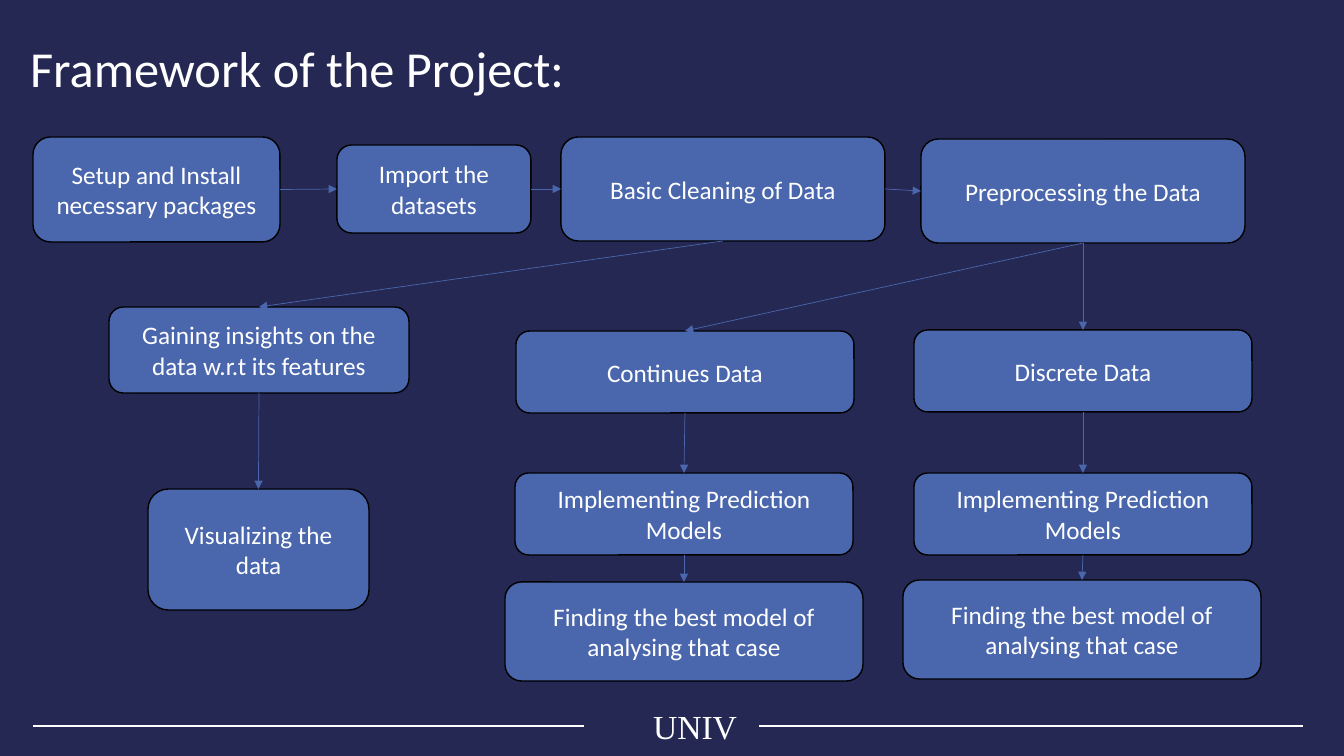
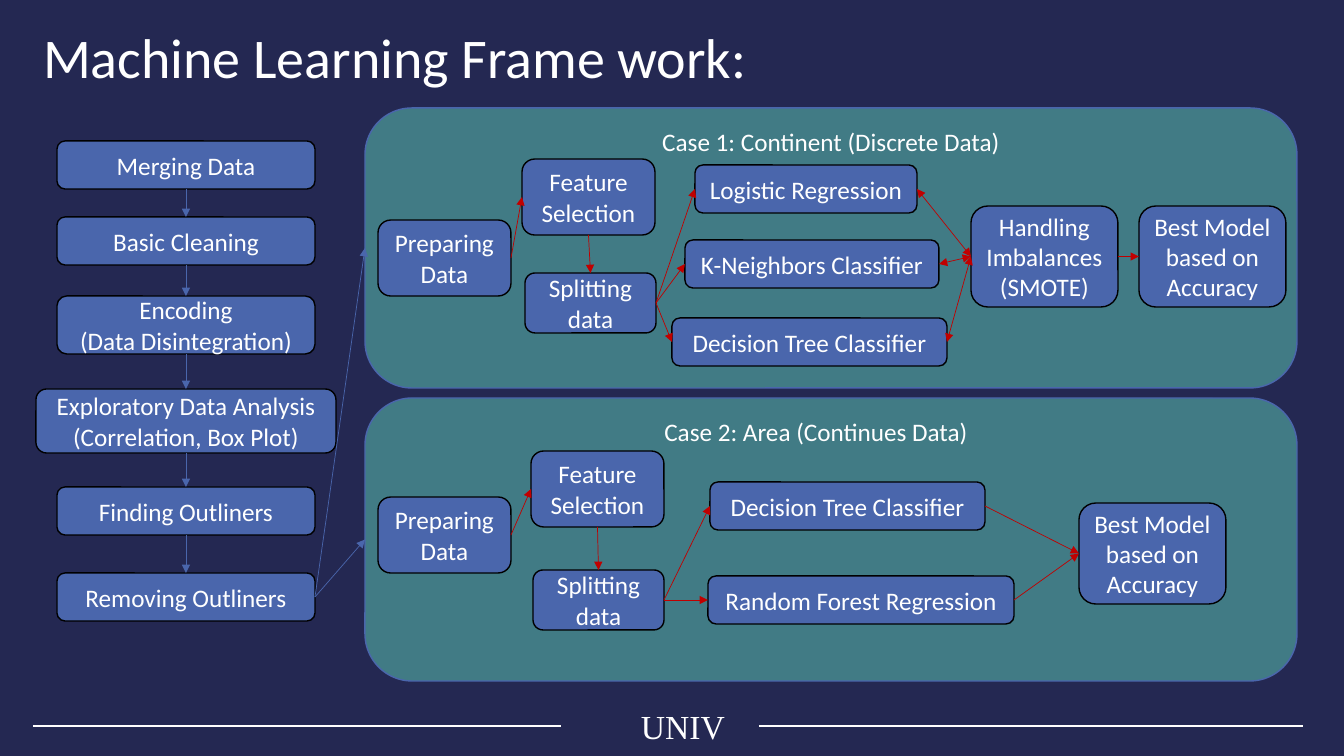
from lxml import etree
from pptx import Presentation
from pptx import util as u
from pptx.dml import color
from pptx.enum import shapes, text
from pptx.oxml import ns

PX = 914400 / 100.8
NAVY, BLUE, TEAL = "242852", "4A66AC", "417B85"
RED, WHITE, BLACK = "C00000", "FFFFFF", "000000"
DOWN, ACROSS = (2, 0), (3, 1)
LEFT, CENTER = text.PP_ALIGN.LEFT, text.PP_ALIGN.CENTER


def px(n):
    return u.Emu(round(n * PX))


def rgb(value):
    return color.RGBColor.from_string(value)


def set_text(sp, words, size, align, font="Calibri"):
    tf = sp.text_frame
    tf.word_wrap = True
    tf.text = words
    for p in tf.paragraphs:
        p.alignment = align
        for r in p.runs:
            r.font.name = font
            r.font.size = u.Pt(size)
            r.font.color.rgb = rgb(WHITE)
    return tf


def add_box(s, words, left, top, width, height, fill=BLUE, line=BLACK):
    sp = s.shapes.add_shape(shapes.MSO_SHAPE.ROUNDED_RECTANGLE,
                            px(left), px(top), px(width), px(height))
    sp.shadow.inherit = False
    sp.fill.solid()
    sp.fill.fore_color.rgb = rgb(fill)
    sp.line.color.rgb = rgb(line)
    sp.line.width = u.Pt(1)
    set_text(sp, words, 18, CENTER).vertical_anchor = text.MSO_ANCHOR.MIDDLE
    return sp


def add_panel(s, words, top, height, right_inset=10):
    sp = add_box(s, words, 365, top, 932, height, TEAL, BLUE)
    sp.text_frame.vertical_anchor = text.MSO_ANCHOR.TOP
    sp.text_frame.margin_right = px(right_inset)
    return sp


def add_line(s, x1, y1, x2, y2, line, width):
    c = s.shapes.add_connector(shapes.MSO_CONNECTOR.STRAIGHT,
                               px(x1), px(y1), px(x2), px(y2))
    c.line.color.rgb = rgb(line)
    c.line.width = u.Pt(width)
    etree.SubElement(c._element.spPr, ns.qn("a:effectLst"))
    return c


def link(s, start, end, route, line=BLUE, both=False):
    c = add_line(s, 0, 0, 0, 0, line, 0.5)
    c.begin_connect(start, route[0])
    c.end_connect(end, route[1])
    ln = c.line._get_or_add_ln()
    for tag in ("a:headEnd", "a:tailEnd") if both else ("a:tailEnd",):
        etree.SubElement(ln, ns.qn(tag), type="triangle")


def chain(s, boxes, route):
    for start, end in zip(boxes, boxes[1:]):
        link(s, start, end, route)


def new_slide(prs, title, place, size, rule_end, mark_align):
    s = prs.slides.add_slide(prs.slide_layouts[5])
    sp = s.shapes.title
    sp.left, sp.top, sp.width, sp.height = map(px, place)
    tf = set_text(sp, title, size, LEFT)
    tf.vertical_anchor = text.MSO_ANCHOR.TOP
    tf.auto_size = text.MSO_AUTO_SIZE.NONE
    mark = s.shapes.add_textbox(px(631), px(701), px(128), px(50))
    set_text(mark, "UNIV", 24, mark_align, "Times New Roman")
    for x1, x2 in ((33, rule_end), (759, 1303)):
        add_line(s, x1, 726, x2, 726, WHITE, 1.5)
    return s


def project_slide(prs):
    s = new_slide(prs, "Framework of the Project:", (20, 32, 1296, 72),
                  36, 584, CENTER)
    setup = add_box(s, "Setup and Install necessary packages", 33, 137, 247, 105)
    load = add_box(s, "Import the datasets", 337, 145, 194, 88)
    clean = add_box(s, "Basic Cleaning of Data", 561, 137, 324, 104)
    prepare = add_box(s, "Preprocessing the Data", 921, 139, 324, 104)
    insights = add_box(s, "Gaining insights on the data w.r.t its features",
                       109, 307, 300, 86)
    visuals = add_box(s, "Visualizing the data", 148, 489, 221, 121)
    chain(s, [setup, load, clean, prepare], ACROSS)
    chain(s, [clean, insights, visuals], DOWN)
    for kind, left, top, model_left, best_left, best_top in (
            ("Continues Data", 516, 331, 515, 505, 582),
            ("Discrete Data", 914, 330, 914, 903, 580)):
        data = add_box(s, kind, left, top, 338, 82)
        models = add_box(s, "Implementing Prediction Models",
                         model_left, 473, 338, 82)
        best = add_box(s, "Finding the best model of analysing that case",
                       best_left, best_top, 358, 99)
        chain(s, [prepare, data, models, best], DOWN)


def add_case(s, prep_top, feature_at, split_at, models, best_left, best_top):
    prep = add_box(s, "Preparing Data", 378, prep_top, 133, 76)
    feature = add_box(s, "Feature Selection", *feature_at, 133, 76)
    split = add_box(s, "Splitting data", *split_at, 131, 60)
    best = add_box(s, "Best Model based on Accuracy",
                   best_left, best_top, 147, 101)
    link(s, prep, feature, ACROSS, RED)
    link(s, feature, split, DOWN, RED)
    boxes = [add_box(s, words, left, top, width, 48)
             for words, left, top, width in models]
    for model in boxes:
        link(s, split, model, ACROSS, RED)
    return boxes, best


def learning_slide(prs):
    s = new_slide(prs, "Machine Learning Frame work:", (33, 17, 1233, 78),
                  40, 561, LEFT)
    panels = [add_panel(s, "Case 1: Continent (Discrete Data)", 108, 280),
              add_panel(s, "Case 2: Area (Continues Data)", 398, 283, 40)]
    steps = [add_box(s, words, 186 - width / 2, top, width, height)
             for words, top, width, height in (
                 ("Merging Data", 141, 258, 48),
                 ("Basic Cleaning", 217, 258, 48),
                 ("Encoding\n(Data Disintegration)", 296, 258, 58),
                 ("Exploratory Data Analysis\n(Correlation, Box Plot)",
                  389, 300, 64),
                 ("Finding Outliners", 487, 258, 48),
                 ("Removing Outliners", 573, 258, 48))]
    chain(s, steps, DOWN)
    for panel in panels:
        link(s, steps[-1], panel, ACROSS)

    models, best = add_case(s, 220, (522, 159), (525, 273), (
        ("Logistic Regression", 695, 165, 222),
        ("K-Neighbors Classifier", 685, 240, 254),
        ("Decision Tree Classifier", 672, 318, 275)), 1139, 206)
    smote = add_box(s, "Handling Imbalances (SMOTE)", 971, 206, 147, 101)
    for model in models:
        link(s, model, smote, ACROSS, RED, both=True)
    link(s, smote, best, ACROSS, RED)

    models, best = add_case(s, 497, (531, 451), (533, 570), (
        ("Decision Tree Classifier", 710, 482, 275),
        ("Random Forest Regression", 708, 576, 306)), 1079, 503)
    for model in models:
        link(s, model, best, ACROSS, RED)


def main():
    prs = Presentation()
    prs.slide_width, prs.slide_height = px(1344), px(756)
    fill = prs.slide_master.background.fill
    fill.solid()
    fill.fore_color.rgb = rgb(NAVY)
    project_slide(prs)
    learning_slide(prs)
    prs.save("out.pptx")


main()
